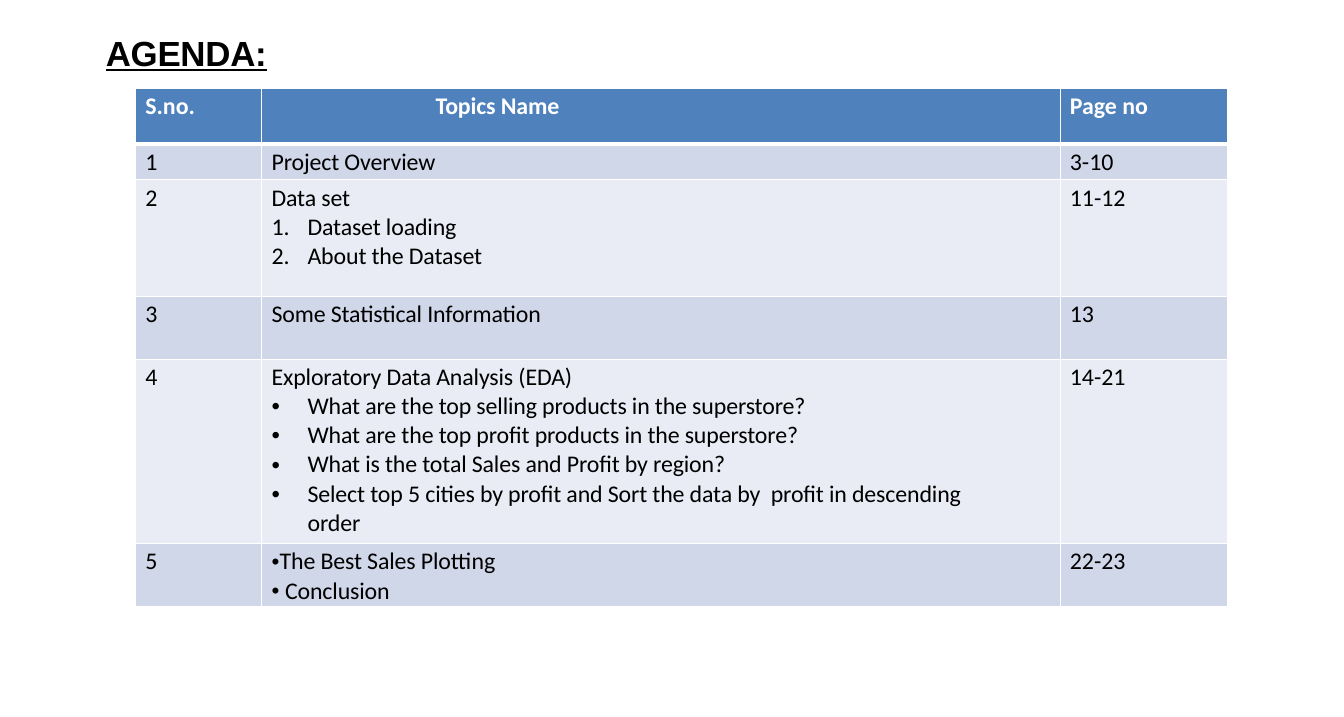
from dataclasses import dataclass

import lxml.etree
import pptx
import pptx.dml.color
import pptx.enum.text
import pptx.oxml.ns
import pptx.table
import pptx.text.text
import pptx.util

Cm = pptx.util.Cm
Pt = pptx.util.Pt
RGBColor = pptx.dml.color.RGBColor
qn = pptx.oxml.ns.qn

WHITE = RGBColor(0xFF, 0xFF, 0xFF)
BLACK = RGBColor(0x00, 0x00, 0x00)
HEADER_BLUE = RGBColor(0x4F, 0x81, 0xBC)
BAND_DARK = RGBColor(0xD0, 0xD7, 0xE8)
BAND_LIGHT = RGBColor(0xE9, 0xEC, 0xF4)

COLUMN_WIDTHS = (3.58, 22.63, 4.76)
THIN, THICK = Pt(1), Pt(3)


@dataclass(frozen=True)
class ListStyle:
    margin: float
    hanging: float = 0
    bullet: str = ""
    size_percent: int = 100


PLAIN = ListStyle(0.28)
HEADING = ListStyle(4.93)
NUMBERED = ListStyle(1.3, 1.02, "1.")
BULLETED = ListStyle(1.3, 1.02, "•")
TIGHT = ListStyle(0.51, 0.23, "•", 94)
LOOSE = ListStyle(0.66, 0.38, "•", 94)


@dataclass(frozen=True)
class Line:
    text: str
    style: ListStyle = PLAIN


@dataclass(frozen=True)
class AgendaRow:
    height: float
    number: str
    topics: tuple[Line, ...]
    pages: str


AGENDA = (
    AgendaRow(1.57, "S.no.", (Line("Topics Name", HEADING),), "Page no"),
    AgendaRow(1.02, "1", (Line("Project Overview"),), "3-10"),
    AgendaRow(3.3, "2", (
        Line("Data set"),
        Line("Dataset loading", NUMBERED),
        Line("About the Dataset", NUMBERED),
    ), "11-12"),
    AgendaRow(1.78, "3", (Line("Some Statistical Information"),), "13"),
    AgendaRow(5.23, "4", (
        Line("Exploratory Data Analysis (EDA)"),
        Line("What are the top selling products in the superstore?", BULLETED),
        Line("What are the top profit products in the superstore?", BULLETED),
        Line("What is the total Sales and Profit by region?", BULLETED),
        Line("Select top 5 cities by profit and Sort the data by  profit in descending order", BULLETED),
    ), "14-21"),
    AgendaRow(1.78, "5", (
        Line("The Best Sales Plotting", TIGHT),
        Line("Conclusion", LOOSE),
    ), "22-23"),
)


def apply_list_style(para: pptx.text.text._Paragraph, style: ListStyle) -> None:
    properties = para._p.get_or_add_pPr()
    properties.set("marL", str(Cm(style.margin)))
    properties.set("indent", str(-Cm(style.hanging)))
    if not style.bullet:
        return
    size = lxml.etree.SubElement(properties, qn("a:buSzPct"))
    size.set("val", str(style.size_percent * 1000))
    if style.bullet == "1.":
        lxml.etree.SubElement(properties, qn("a:buAutoNum")).set("type", "arabicPeriod")
    else:
        lxml.etree.SubElement(properties, qn("a:buFont")).set("typeface", "Arial")
        lxml.etree.SubElement(properties, qn("a:buChar")).set("char", style.bullet)


def set_spacing(para: pptx.text.text._Paragraph, hundredths: int) -> None:
    for span in para.runs:
        span._r.get_or_add_rPr().set("spc", str(hundredths))


def set_borders(cell: pptx.table._Cell, top: int, bottom: int) -> None:
    properties = cell._tc.get_or_add_tcPr()
    for side, width in (("L", THIN), ("R", THIN), ("T", top), ("B", bottom)):
        border = lxml.etree.SubElement(properties, qn(f"a:ln{side}"), w=str(width))
        fill = lxml.etree.SubElement(border, qn("a:solidFill"))
        lxml.etree.SubElement(fill, qn("a:srgbClr")).set("val", str(WHITE))


def fill_cell(cell: pptx.table._Cell, lines: tuple[Line, ...], row: int, column: int) -> None:
    is_header = row == 0
    set_borders(cell, THICK if row == 1 else THIN, THICK if is_header else THIN)
    cell.fill.solid()
    cell.fill.fore_color.rgb = HEADER_BLUE if is_header else (BAND_LIGHT, BAND_DARK)[row % 2]
    cell.margin_left = cell.margin_bottom = 0
    cell.margin_right = Cm(1.5) if column == 1 else 0
    cell.margin_top = Cm(0.1)
    box = cell.text_frame
    for index, line in enumerate(lines):
        para = box.paragraphs[0] if index == 0 else box.add_paragraph()
        para.text = line.text
        apply_list_style(para, line.style)
        para.space_before = Pt(2.6 if index == 0 else 0)
        para.font.name = "Calibri"
        para.font.size = Pt(19.2)
        para.font.bold = is_header
        para.font.color.rgb = WHITE if is_header else BLACK
        if column == 1:
            set_spacing(para, -10)


def main() -> None:
    deck = pptx.Presentation()
    deck.slide_width, deck.slide_height = Cm(38.1), Cm(20.32)
    page = deck.slides.add_slide(deck.slide_layouts[5])

    title = page.shapes.title
    title.left, title.top, title.width, title.height = Cm(3), Cm(0.86), Cm(5.03), Cm(1.22)
    box = title.text_frame
    box.margin_left = box.margin_right = box.margin_bottom = 0
    box.margin_top = Cm(0.03)
    box.vertical_anchor = pptx.enum.text.MSO_ANCHOR.TOP
    box.auto_size = pptx.enum.text.MSO_AUTO_SIZE.NONE
    para = box.paragraphs[0]
    para.text = "AGENDA:"
    para.alignment = pptx.enum.text.PP_ALIGN.LEFT
    para.space_before = Pt(1.1)
    para.font.name = "Arial"
    para.font.size = Pt(28)
    para.font.bold = True
    para.font.underline = True
    para.font.color.rgb = BLACK
    set_spacing(para, -20)

    table = page.shapes.add_table(
        len(AGENDA), len(COLUMN_WIDTHS), Cm(3.84), Cm(2.51),
        Cm(sum(COLUMN_WIDTHS)), Cm(sum(entry.height for entry in AGENDA)),
    ).table
    for column, width in zip(table.columns, COLUMN_WIDTHS):
        column.width = Cm(width)
    for row, entry in enumerate(AGENDA):
        table.rows[row].height = Cm(entry.height)
        contents = ((Line(entry.number),), entry.topics, (Line(entry.pages),))
        for column, lines in enumerate(contents):
            fill_cell(table.cell(row, column), lines, row, column)

    deck.save("out.pptx")


if __name__ == "__main__":
    main()
